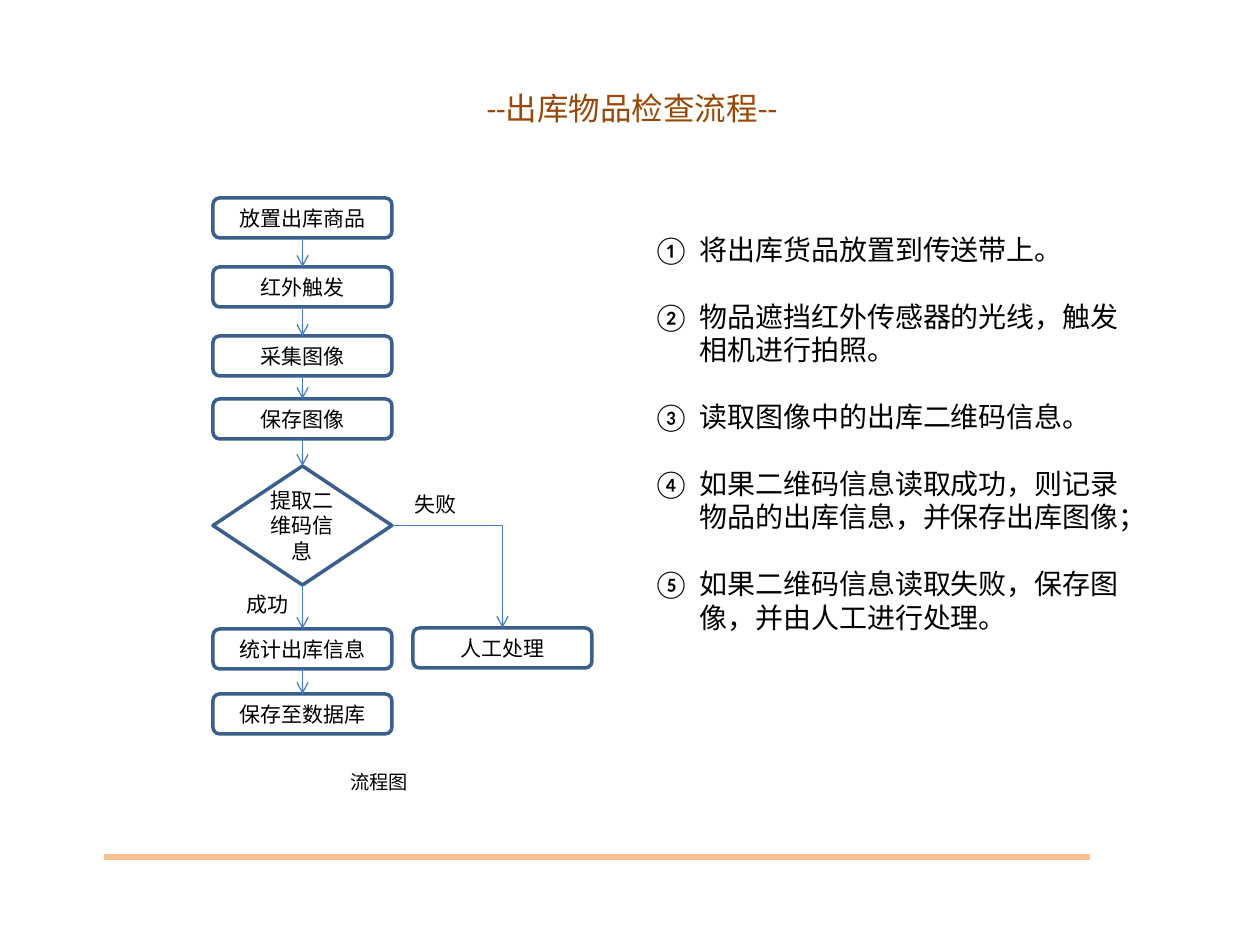
import pptx
import pptx.util
import pptx.dml.color
import pptx.enum.shapes
import pptx.enum.text
import pptx.oxml.ns
import lxml.etree

TITLE = "--出库物品检查流程--"
STEPS = [
    ("放置出库商品", 198),
    ("红外触发", 267),
    ("采集图像", 336),
    ("保存图像", 399),
    ("提取二维码信息", 466),
    ("统计出库信息", 629),
    ("保存至数据库", 694),
]
CHECK = 4
MANUAL = ("人工处理", 413, 628)
LABELS = [
    ("失败", 402, 485, 68, 12, "Calibri"),
    ("成功", 234, 585, 68, 12, "Calibri"),
    ("流程图", 338, 764, 83, 11, "Noto Sans CJK SC"),
]
NOTES = [
    "将出库货品放置到传送带上。",
    "物品遮挡红外传感器的光线，触发相机进行拍照。",
    "读取图像中的出库二维码信息。",
    "如果二维码信息读取成功，则记录物品的出库信息，并保存出库图像；",
    "如果二维码信息读取失败，保存图像，并由人工进行处理。",
]
LEFT, WIDE, TALL, DEEP = 213, 179, 40, 119

KIND = pptx.enum.shapes.MSO_SHAPE
LINK = pptx.enum.shapes.MSO_CONNECTOR
ALIGN = pptx.enum.text.PP_ALIGN
ANCHOR = pptx.enum.text.MSO_ANCHOR
qn = pptx.oxml.ns.qn


def px(n):
    return round(n * 914400 / 126)


def hue(code):
    return pptx.dml.color.RGBColor.from_string(code)


def sub(node, tag, **attrs):
    return lxml.etree.SubElement(node, qn(tag), **attrs)


def place(shape, x, y, w, h):
    shape.left, shape.top, shape.width, shape.height = map(px, (x, y, w, h))


def write(shape, *lines, size=12, font="Calibri", color="000000", align=ALIGN.LEFT,
          anchor=ANCHOR.TOP, wrap=True, gap=0):
    frame = shape.text_frame
    frame.auto_size = pptx.enum.text.MSO_AUTO_SIZE.NONE
    frame.word_wrap = wrap
    frame.vertical_anchor = anchor
    frame.text = "\n".join(lines)
    for para in frame.paragraphs:
        para.alignment = align
        para.space_before = pptx.util.Pt(0)
        para.space_after = pptx.util.Pt(gap)
        face = para.runs[0].font
        face.size = pptx.util.Pt(size)
        face.color.rgb = hue(color)
        face.name = font
        sub(face._element, "a:ea", typeface=font)


def box(text, x, y, kind=KIND.ROUNDED_RECTANGLE, h=TALL):
    shape = slide.shapes.add_shape(kind, px(x), px(y), px(WIDE), px(h))
    shape.shadow.inherit = False
    shape.fill.background()
    shape.line.color.rgb = hue("3A5F8C")
    shape.line.width = pptx.util.Pt(2)
    write(shape, text, align=ALIGN.CENTER, anchor=ANCHOR.MIDDLE)
    return shape


def line(kind, ends=(0, 0, 0, 0), color="4B7EBC", width=0.75):
    link = slide.shapes.add_connector(kind, *map(px, ends))
    link.line.color.rgb = hue(color)
    link.line.width = pptx.util.Pt(width)
    sub(link._element.spPr, "a:effectLst")
    return link


def arrow(first, last, kind=LINK.STRAIGHT, side=2):
    link = line(kind)
    link.begin_connect(first, side)
    link.end_connect(last, 0)
    sub(link.line._get_or_add_ln(), "a:tailEnd", type="arrow")
    return link


deck = pptx.Presentation()
deck.slide_width, deck.slide_height = px(1260), px(945)
slide = deck.slides.add_slide(deck.slide_layouts[1])

title, body = slide.placeholders
place(title, 474, 83, 319, 50)
write(title, TITLE, size=18, color="984807")

place(body, 640, 226, 515, 454)
write(body, *NOTES, size=16, gap=19)
for para in body.text_frame.paragraphs:
    props = para._p.get_or_add_pPr()
    props.set("marL", "342900")
    props.set("indent", "-342900")
    sub(props, "a:buFont", typeface="+mj-ea")
    sub(props, "a:buAutoNum", type="circleNumDbPlain")

flow = []
for i, (text, y) in enumerate(STEPS):
    if i == CHECK:
        flow.append(box(text, LEFT, y, KIND.FLOWCHART_DECISION, DEEP))
    else:
        flow.append(box(text, LEFT, y))
for first, last in zip(flow, flow[1:]):
    arrow(first, last)

bend = arrow(flow[CHECK], box(*MANUAL), LINK.ELBOW, 3)
bend._element.spPr.find(qn("a:prstGeom")).set("prst", "bentConnector2")

for text, x, y, w, size, font in LABELS:
    label = slide.shapes.add_textbox(px(x), px(y), px(w), px(37))
    write(label, text, size=size, font=font, wrap=False)

line(LINK.STRAIGHT, (104, 857, 1090, 857), "FAC090", 3)
deck.save("out.pptx")
